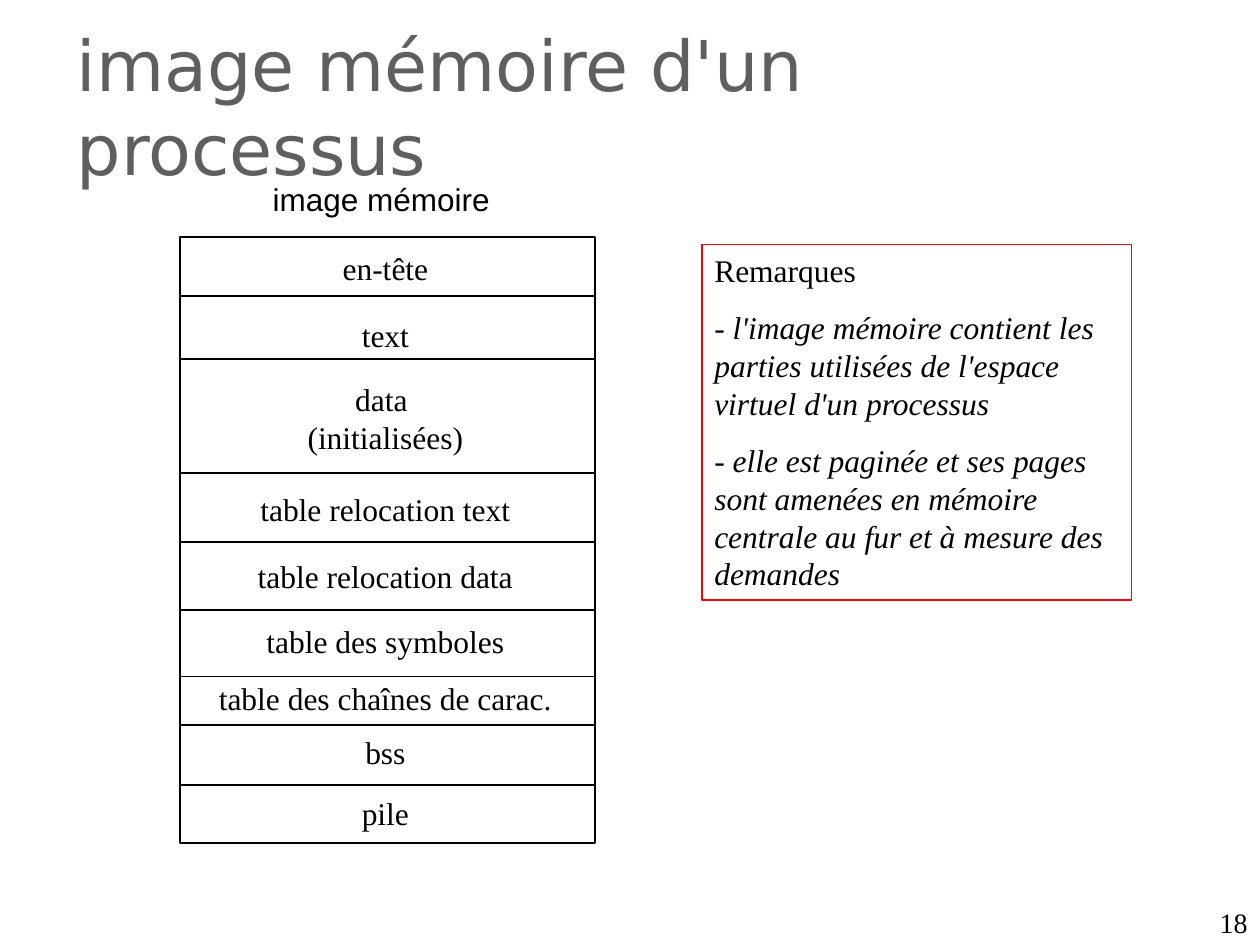
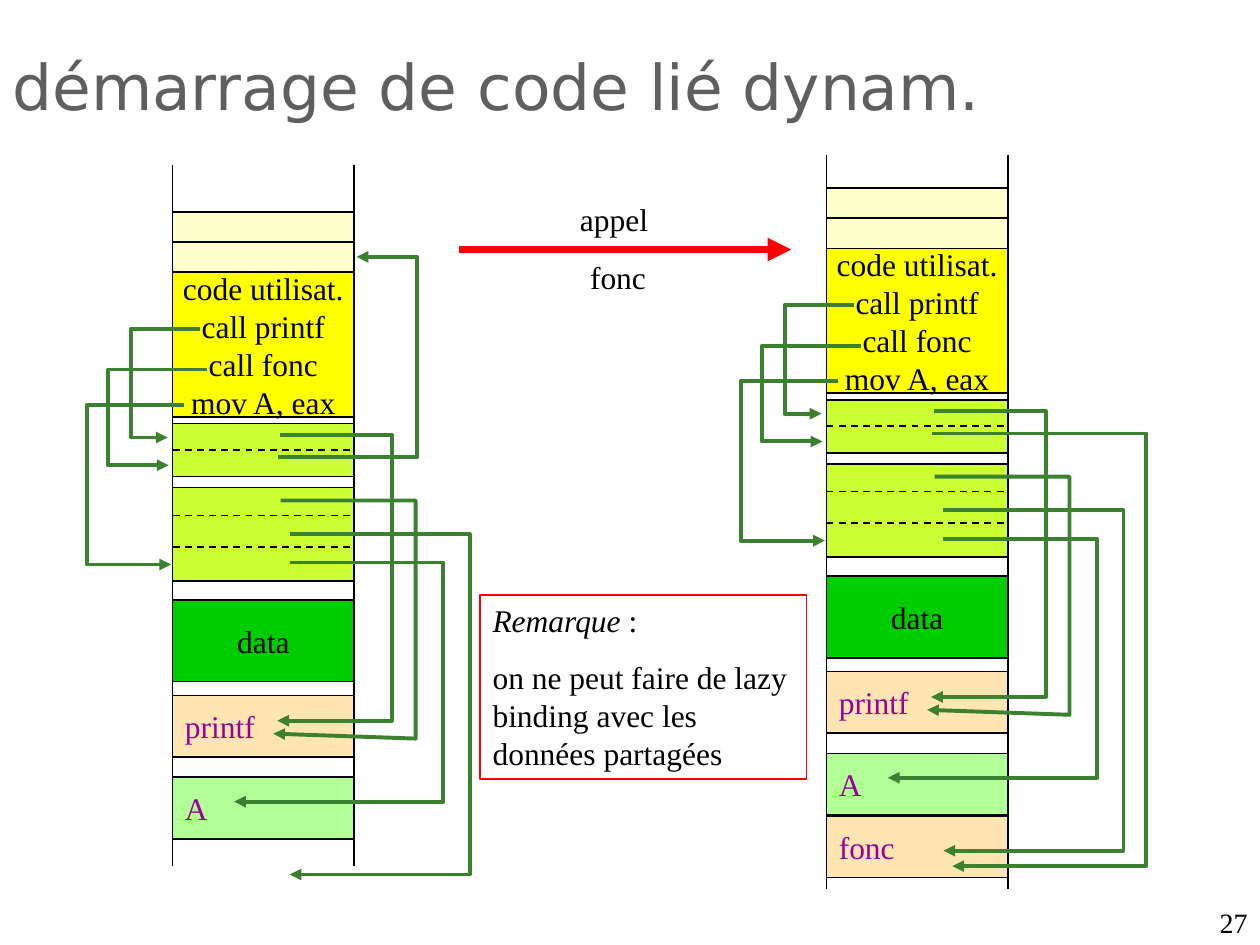
from lxml.etree import SubElement
from pptx import Presentation
from pptx.dml.color import RGBColor
from pptx.enum.dml import MSO_LINE
from pptx.enum.shapes import MSO_CONNECTOR, MSO_SHAPE
from pptx.enum.text import MSO_ANCHOR, PP_ALIGN
from pptx.oxml.ns import qn
from pptx.util import Cm, Pt

BLACK = RGBColor(0x00, 0x00, 0x00)
GREY = RGBColor(0x5F, 0x5F, 0x5F)
RED = RGBColor(0xFF, 0x00, 0x00)
PURPLE = RGBColor(0x99, 0x00, 0x99)
CREAM = RGBColor(0xFF, 0xFF, 0xCC)
YELLOW = RGBColor(0xFF, 0xFF, 0x00)
LIME = RGBColor(0xCC, 0xFF, 0x33)
GREEN = RGBColor(0x00, 0xCC, 0x00)
ORANGE = RGBColor(0xFF, 0xCC, 0x66)
LIGHT_GREEN = RGBColor(0x66, 0xFF, 0x33)
ARROW_GREEN = RGBColor(0x3B, 0x81, 0x2F)

SERIF = "Times New Roman"
SANS = "Arial"
TITLE_FONT = "DejaVu Sans"

STACK_LEFT, STACK_TOP, STACK_W, STACK_H = 3.63, 4.78, 8.36, 12.22
DIVIDERS = (5.97, 7.24, 9.53, 10.92, 12.29, 13.64, 14.61, 15.82)
SECTIONS = (
    (4.90, ["en-tête"]),
    (6.25, ["text"]),
    (7.54, ["data ", "(initialisées)"]),
    (9.75, ["table relocation text"]),
    (11.10, ["table relocation data"]),
    (12.42, ["table des symboles"]),
    (13.56, ["table des chaînes de carac."]),
    (14.66, ["bss"]),
    (15.88, ["pile"]),
)

MEMORY_W = 3.66
CODE = ["code utilisat.", "call printf", "call fonc", "mov A, eax"]
PLAIN_BLOCKS = (
    (0, 0.61, CREAM, []),
    (0.61, 0.61, CREAM, []),
    (1.22, 2.92, YELLOW, CODE),
    (4.27, 1.07, LIME, []),
    (5.56, 1.88, LIME, []),
    (7.82, 1.65, GREEN, ["data"]),
)
SHARED_H = 1.24
PRINTF_BLOCK = (9.75, ORANGE, "printf")
A_BLOCK = (11.40, LIGHT_GREEN, "A")
FONC_BLOCK = (12.66, ORANGE, "fonc")
TABLE_ROWS = (4.80, 6.12, 6.76)

CALL_ARROWS = (
    (0.56, 2.36, -0.84, 4.55, -0.10),
    (0.69, 3.18, -1.30, 5.11, -0.08),
    (0.23, 3.89, -1.73, 7.11, -0.03),
)
TABLE_ARROWS = (
    (2.16, 4.50, 4.42, 10.26, 2.11),
    (2.18, 5.82, 4.90, 10.62, 2.03, 10.52),
    (2.36, 7.07, 5.46, 11.89, 1.24),
    (2.36, 6.50, 5.99, 13.36, 2.36),
)
FONC_UNBOUND = (2.13, 4.95, 4.93, 0.91, 3.71)
FONC_BOUND = (2.13, 4.95, 6.45, 13.67, 2.54)


def write(tf, paragraphs, size=18, font=SERIF, color=BLACK, align=PP_ALIGN.LEFT,
          anchor=MSO_ANCHOR.TOP, gap=0, wrap=True):
    """Fill a text frame; a paragraph is a string or a list of (text, italic) runs."""
    tf.word_wrap = wrap
    tf.vertical_anchor = anchor
    for i, runs in enumerate(paragraphs):
        p = tf.paragraphs[0] if i == 0 else tf.add_paragraph()
        p.alignment = align
        p.space_before = Pt(gap if i else 0)
        for text, italic in [(runs, False)] if isinstance(runs, str) else runs:
            r = p.add_run()
            r.text = text
            r.font.name = font
            r.font.size = Pt(size)
            r.font.italic = italic
            r.font.color.rgb = color


def add_text(s, x, y, w, h, paragraphs, **fmt):
    """Add a text box."""
    sp = s.shapes.add_textbox(Cm(x), Cm(y), Cm(w), Cm(h))
    write(sp.text_frame, paragraphs, **fmt)


def add_box(s, x, y, w, h, paragraphs=(), fill=None, line=BLACK, alpha=None, **fmt):
    """Add an outlined rectangle, with optional fill, opacity and text."""
    sp = s.shapes.add_shape(MSO_SHAPE.RECTANGLE, Cm(x), Cm(y), Cm(w), Cm(h))
    sp.shadow.inherit = False
    sp.line.color.rgb = line
    sp.line.width = Pt(1)
    if fill is None:
        sp.fill.background()
    else:
        sp.fill.solid()
        sp.fill.fore_color.rgb = fill
    if alpha is not None:
        color = sp.fill._xPr.find(qn("a:solidFill"))[0]
        SubElement(color, qn("a:alpha"), val=str(alpha * 1000))
    write(sp.text_frame, paragraphs, **fmt)


def add_arrowhead(sp):
    """Put a triangle at the end of a line."""
    SubElement(sp.line._get_or_add_ln(), qn("a:tailEnd"), type="triangle")


def add_line(s, x1, y1, x2, y2, color=BLACK, width=1, dashed=False, arrow=False):
    """Add a straight line."""
    sp = s.shapes.add_connector(MSO_CONNECTOR.STRAIGHT, Cm(x1), Cm(y1), Cm(x2), Cm(y2))
    sp.line.color.rgb = color
    sp.line.width = Pt(width)
    if dashed:
        sp.line.dash_style = MSO_LINE.DASH
    if arrow:
        add_arrowhead(sp)
    SubElement(sp._element.spPr, qn("a:effectLst"))


def add_bent_arrow(s, x, y, start_x, start_y, bend_x, end_y, end_x, tip_y=None):
    """Add an arrow with two bends, in coordinates relative to (x, y)."""
    corners = ((bend_x, start_y), (bend_x, end_y),
               (end_x, end_y if tip_y is None else tip_y))
    builder = s.shapes.build_freeform(Cm(x + start_x), Cm(y + start_y))
    builder.add_line_segments([(Cm(x + dx), Cm(y + dy)) for dx, dy in corners], close=False)
    sp = builder.convert_to_shape()
    sp.shadow.inherit = False
    sp.fill.background()
    sp.line.color.rgb = ARROW_GREEN
    sp.line.width = Pt(2.25)
    add_arrowhead(sp)


def add_memory(s, x, y, rail_top, rail_bottom, shared_blocks, fonc_arrow):
    """Draw a process memory column with its links."""
    for dy, h, fill, lines in PLAIN_BLOCKS:
        add_box(s, x, y + dy, MEMORY_W, h, lines, fill=fill, align=PP_ALIGN.CENTER,
                anchor=MSO_ANCHOR.MIDDLE, wrap=False)
    for dy, fill, name in shared_blocks:
        add_box(s, x, y + dy, MEMORY_W, SHARED_H, [name], fill=fill, alpha=50,
                color=PURPLE, anchor=MSO_ANCHOR.MIDDLE)
    for rail_x in (x, x + MEMORY_W):
        add_line(s, rail_x, rail_top, rail_x, rail_bottom)
    for dy in TABLE_ROWS:
        add_line(s, x, y + dy, x + MEMORY_W, y + dy, dashed=True)
    for arrow in (*CALL_ARROWS, *TABLE_ARROWS, fonc_arrow):
        add_bent_arrow(s, x, y, *arrow)


def add_note(s, x, y, w, h, paragraphs):
    """Add a remark framed in red."""
    add_box(s, x, y, w, h, paragraphs, line=RED, gap=11.2)


def add_slide(prs, number, title, x, y, w, h, size):
    """Add a blank slide with its title and page number."""
    s = prs.slides.add_slide(prs.slide_layouts[6])
    add_text(s, x, y, w, h, [title], size=size, font=TITLE_FONT, color=GREY)
    add_text(s, 19.48, 18.14, 5.92, 0.91, [str(number)], size=16,
             align=PP_ALIGN.RIGHT, anchor=MSO_ANCHOR.BOTTOM)
    return s


def build_memory_image(prs):
    """Build the slide on the sections of a process image."""
    s = add_slide(prs, 18, "image mémoire d'un processus", 1.30, 0.30, 17.02, 3.66, 40)
    add_box(s, STACK_LEFT, STACK_TOP, STACK_W, STACK_H)
    for y in DIVIDERS:
        add_line(s, STACK_LEFT, y, STACK_LEFT + STACK_W, y)
    for y, lines in SECTIONS:
        add_text(s, 3.91, y, 7.72, 1.02 * len(lines), lines, align=PP_ALIGN.CENTER)
    add_text(s, 3.51, 3.51, 8.53, 1.02, ["image mémoire "], font=SANS,
             align=PP_ALIGN.CENTER)
    add_note(s, 14.15, 4.93, 8.66, 7.16, [
        "Remarques",
        [("- l'image mémoire contient les parties utilisées de l'espace "
          "virtuel d'un processus", True)],
        [("- elle est paginée et ses pages sont amenées en mémoire centrale "
          "au fur et à mesure des demandes", True)],
    ])


def build_dynamic_start(prs):
    """Build the slide on memory before and after the call to fonc."""
    s = add_slide(prs, 27, "démarrage de code lié dynam.", 0, 0.84, 21.44, 2.26, 36)
    add_memory(s, 3.48, 4.27, 3.33, 17.45, (PRINTF_BLOCK, A_BLOCK), FONC_UNBOUND)
    add_memory(s, 16.66, 3.79, 3.12, 17.93, (PRINTF_BLOCK, A_BLOCK, FONC_BLOCK),
               FONC_BOUND)
    add_line(s, 9.25, 5.03, 15.95, 5.03, color=RED, width=4.5, arrow=True)
    add_text(s, 10.54, 3.91, 3.84, 2.18, ["appel ", "fonc"], align=PP_ALIGN.CENTER,
             gap=11.2)
    add_note(s, 9.68, 11.99, 6.58, 3.71, [
        [("Remarque ", True), (":", False)],
        "on ne peut faire de lazy binding avec les données partagées",
    ])


def main():
    """Build and save the presentation."""
    prs = Presentation()
    prs.slide_width, prs.slide_height = Cm(25.4), Cm(19.05)
    build_memory_image(prs)
    build_dynamic_start(prs)
    prs.save("out.pptx")


if __name__ == "__main__":
    main()
